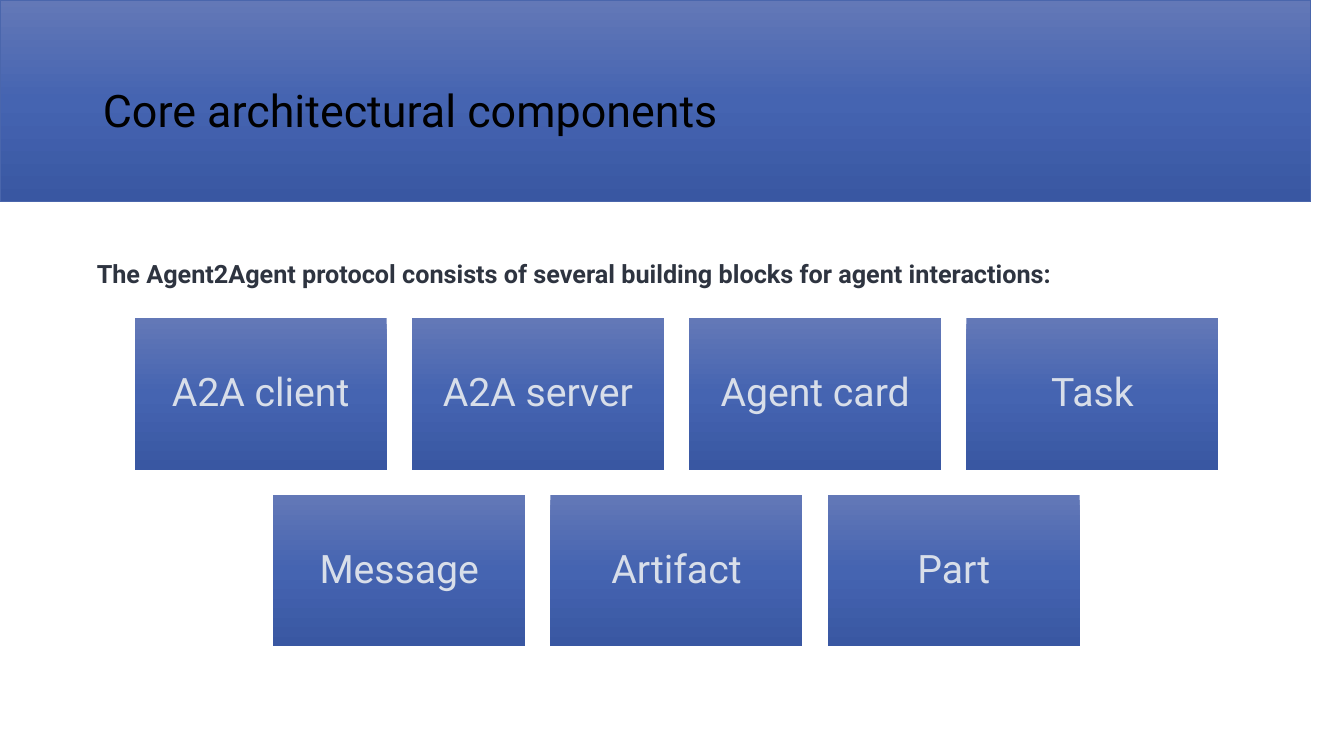
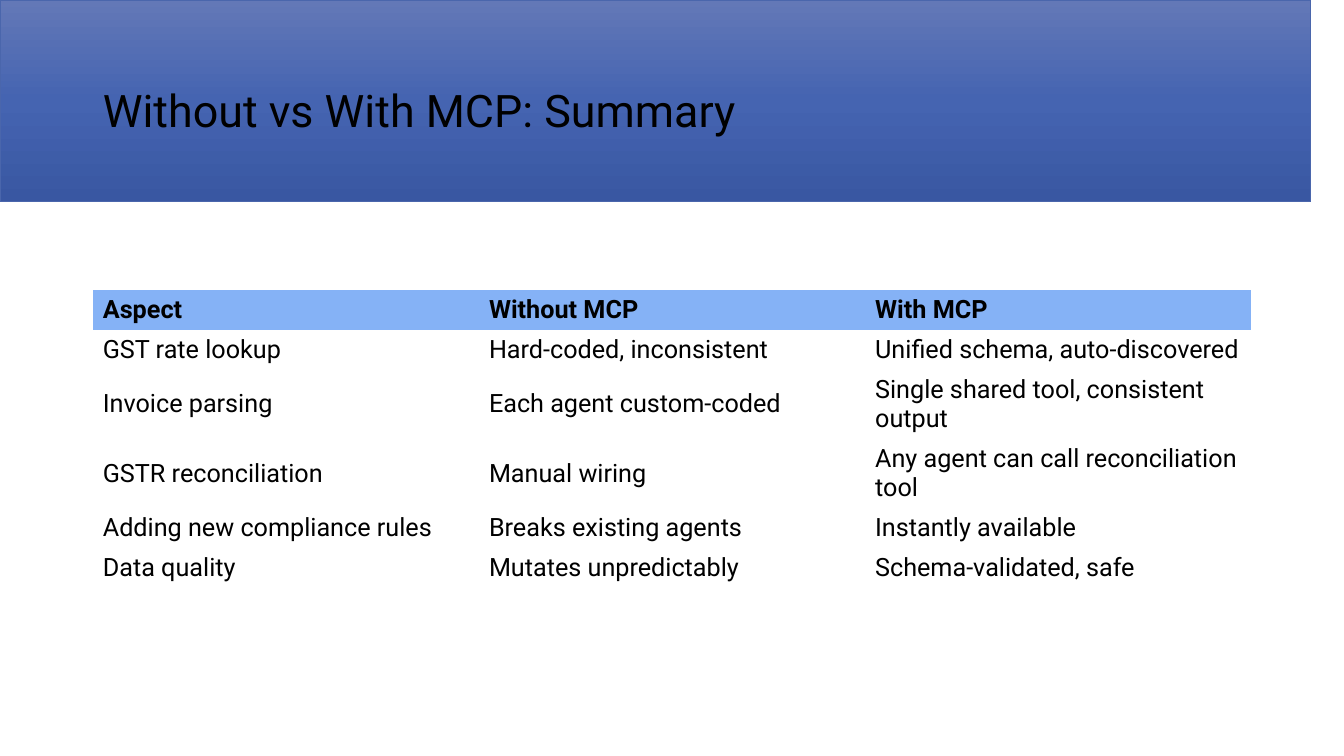
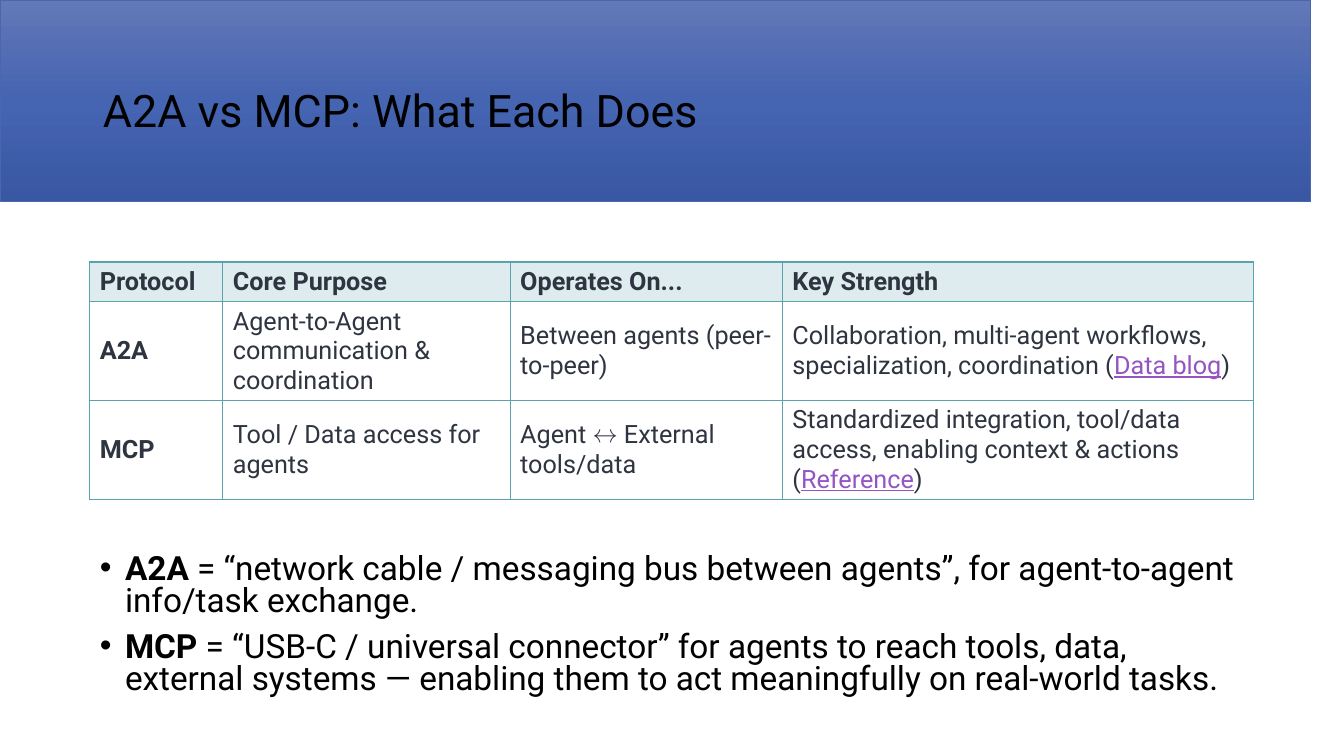
"""Build three slides on the A2A and MCP agent protocols."""
import copy

import pptx
import pptx.chart.data
import pptx.dml.color
import pptx.enum.shapes
import pptx.enum.text
import pptx.oxml
import pptx.oxml.ns
import pptx.util

Inches = pptx.util.Inches
ALIGN = pptx.enum.text.PP_ALIGN
MIDDLE = pptx.enum.text.MSO_ANCHOR.MIDDLE

COLORS = {
    "black": "000000",
    "ink": "2E3440",
    "pale": "D8DEE9",
    "band_top": "6378B7",
    "band_middle": "4564B1",
    "band_bottom": "3957A2",
    "band_line": "4A66AC",
    "summary_header": "85B2F6",
    "protocol_header": "DEECEF",
    "grid": "5AA2AE",
    "link": "9454C3",
}
GRADIENT = [(0, "band_top"), (0.5, "band_middle"), (1, "band_bottom")]
FONT = "Roboto"
WIDTH, HEIGHT = 13.33, 7.5
BAND = [(WIDTH, 0), (0, 0), (0, 2.06), (2.18, 2.06), (2.6, 2.38), (2.62, 2.39),
        (2.67, 2.39), (2.7, 2.38), (3.11, 2.06), (WIDTH, 2.06)]
TITLE_AREA = (0.92, 0.4, 11.5, 1.45)
NO_TABLE_STYLE = "{2D5ABB26-0587-4C30-8999-92F81FD0307C}"

BOLD = {"bold": True}
LINK = {"color": "link", "underline": True}

COMPONENTS_TITLE = "Core architectural components"
COMPONENTS_INTRO = ("The Agent2Agent protocol consists of several building blocks "
                    "for agent interactions:")
COMPONENT_ROWS = [
    ["A2A client", "A2A server", "Agent card", "Task"],
    ["Message", "Artifact", "Part"],
]
BOX_WIDTH, BOX_HEIGHT, BOX_GAP = 2.5, 1.5, 0.25
BOXES_CENTER, BOXES_TOP = 6.71, 3.16

SUMMARY_TITLE = "Without vs With MCP: Summary"
SUMMARY = {
    "at": (0.92, 2.88),
    "columns": [3.83] * 3,
    "lines": [1, 1, 2, 2, 1, 1],
    "header": "summary_header",
    "color": "black",
    "rows": [
        ["Aspect", "Without MCP", "With MCP"],
        ["GST rate lookup", "Hard-coded, inconsistent", "Unified schema, auto-discovered"],
        ["Invoice parsing", "Each agent custom-coded", "Single shared tool, consistent output"],
        ["GSTR reconciliation", "Manual wiring", "Any agent can call reconciliation tool"],
        ["Adding new compliance rules", "Breaks existing agents", "Instantly available"],
        ["Data quality", "Mutates unpredictably", "Schema-validated, safe"],
    ],
}

PROTOCOLS_TITLE = "A2A vs MCP: What Each Does"
PROTOCOLS = {
    "at": (0.89, 2.6),
    "columns": [1.32, 2.85, 2.7, 4.67],
    "lines": [1, 3, 3],
    "header": "protocol_header",
    "color": "ink",
    "border": "grid",
    "bold_first_column": True,
    "rows": [
        ["Protocol", "Core Purpose", "Operates On...", "Key Strength"],
        ["A2A", "Agent-to-Agent communication & coordination",
         "Between agents (peer-to-peer)",
         ["Collaboration, multi-agent workflows, specialization, coordination (",
          ("Data blog", LINK), ")"]],
        ["MCP", "Tool / Data access for agents", "Agent ↔ External tools/data",
         ["Standardized integration, tool/data access, enabling context & actions (",
          ("Reference", LINK), ")"]],
    ],
}
ANALOGIES = [
    [("A2A", BOLD), " = “network cable / messaging bus between agents”, "
                    "for agent-to-agent info/task exchange."],
    [("MCP", BOLD), " = “USB-C / universal connector” for agents to reach tools, data, "
                    "external systems — enabling them to act meaningfully on real-world tasks."],
]


def rgb(name):
    """Return the named colour."""
    return pptx.dml.color.RGBColor.from_string(COLORS[name])


def write(frame, *paragraphs, size=18, color="ink", bold=False, align=ALIGN.LEFT,
          anchor=None, spacing=1.0, space_before=0, inset=None, bullet=None):
    """Fill a text frame with paragraphs, each a string or a list of runs."""
    frame.word_wrap = True
    if anchor is not None:
        frame.vertical_anchor = anchor
    if inset is not None:
        frame.margin_left = frame.margin_right = Inches(inset)
        frame.margin_top = frame.margin_bottom = Inches(inset)
    for index, runs in enumerate(paragraphs):
        paragraph = frame.add_paragraph() if index else frame.paragraphs[0]
        paragraph.alignment = align
        paragraph.line_spacing = spacing
        paragraph.space_before = pptx.util.Pt(space_before if index else 0)
        if bullet:
            properties = paragraph._p.get_or_add_pPr()
            properties.set("marL", str(Inches(0.25)))
            properties.set("indent", str(Inches(-0.25)))
            mark = pptx.oxml.parse_xml(
                f'<a:buChar {pptx.oxml.ns.nsdecls("a")} char="{bullet}"/>')
            properties.append(mark)
        for item in [runs] if isinstance(runs, str) else runs:
            text, changes = (item, {}) if isinstance(item, str) else item
            run = paragraph.add_run()
            run.text = text
            run.font.name = FONT
            run.font.size = pptx.util.Pt(size)
            run.font.bold = changes.get("bold", bold)
            run.font.underline = changes.get("underline", False)
            run.font.color.rgb = rgb(changes.get("color", color))


def place(shape, left, top, width, height):
    """Move and size a shape in inches."""
    shape.left, shape.top = Inches(left), Inches(top)
    shape.width, shape.height = Inches(width), Inches(height)


def paint_gradient(shape):
    """Give a shape the shared top-to-bottom gradient and no shadow."""
    shape.shadow.inherit = False
    shape.fill.gradient()
    shape.fill.gradient_angle = 270
    stop_list = shape.element.xpath(".//a:gsLst")[0]
    stop_list.append(copy.deepcopy(stop_list[0]))
    for stop, (position, color) in zip(shape.fill.gradient_stops, GRADIENT):
        stop.position = position
        stop.color.rgb = rgb(color)


def set_up_master(presentation, slide):
    """Put the title area and the notched band on the slide master."""
    master = presentation.slide_master
    for placeholder in master.placeholders:
        if placeholder.placeholder_format.type == pptx.enum.shapes.PP_PLACEHOLDER.TITLE:
            place(placeholder, *TITLE_AREA)
    builder = slide.shapes.build_freeform(*BAND[0], scale=float(Inches(1)))
    builder.add_line_segments(BAND[1:], close=True)
    band = builder.convert_to_shape()
    paint_gradient(band)
    band.line.color.rgb = rgb("band_line")
    band.line.width = pptx.util.Pt(1)
    band.element.xpath(".//p:cNvPr")[0].set("id", "20")
    master.shapes.element.insert(2, band.element)


def add_slide(presentation, layout, title):
    """Add a slide with its title."""
    slide = presentation.slides.add_slide(presentation.slide_layouts.get_by_name(layout))
    frame = slide.shapes.title.text_frame
    frame.auto_size = pptx.enum.text.MSO_AUTO_SIZE.NONE
    write(frame, title, size=32, color="black", anchor=MIDDLE, spacing=0.9)
    return slide


def add_boxes(slide):
    """Add the centred rows of component boxes."""
    for row, names in enumerate(COMPONENT_ROWS):
        row_width = len(names) * (BOX_WIDTH + BOX_GAP) - BOX_GAP
        for column, name in enumerate(names):
            left = BOXES_CENTER - row_width / 2 + column * (BOX_WIDTH + BOX_GAP)
            top = BOXES_TOP + row * (BOX_HEIGHT + BOX_GAP)
            box = slide.shapes.add_shape(
                pptx.enum.shapes.MSO_SHAPE.RECTANGLE, Inches(left), Inches(top),
                Inches(BOX_WIDTH), Inches(BOX_HEIGHT))
            paint_gradient(box)
            box.line.fill.background()
            write(box.text_frame, name, size=28, color="pale", align=ALIGN.CENTER,
                  anchor=MIDDLE, spacing=0.9, inset=0.16)


def add_borders(cell, color):
    """Draw a one-point line on each side of a cell."""
    properties = cell._tc.get_or_add_tcPr()
    for index, side in enumerate("LRTB"):
        properties.insert(index, pptx.oxml.parse_xml(
            f'<a:ln{side} {pptx.oxml.ns.nsdecls("a")} w="12700"><a:solidFill>'
            f'<a:srgbClr val="{COLORS[color]}"/></a:solidFill></a:ln{side}>'))


def add_table(slide, content):
    """Add a table with a filled header row."""
    rows, columns = content["rows"], content["columns"]
    heights = [0.1 + 0.29 * lines for lines in content["lines"]]
    left, top = content["at"]
    frame = slide.shapes.add_table(
        len(rows), len(columns), Inches(left), Inches(top),
        Inches(sum(columns)), Inches(sum(heights)))
    frame.element.xpath(".//a:tableStyleId")[0].text = NO_TABLE_STYLE
    table = frame.table
    table.horz_banding = False
    for column, width in zip(table.columns, columns):
        column.width = Inches(width)
    for row_index, (row, height) in enumerate(zip(rows, heights)):
        table.rows[row_index].height = Inches(height)
        for column_index, text in enumerate(row):
            cell = table.cell(row_index, column_index)
            cell.vertical_anchor = MIDDLE
            if row_index == 0:
                cell.fill.solid()
                cell.fill.fore_color.rgb = rgb(content["header"])
            else:
                cell.fill.background()
            if "border" in content:
                add_borders(cell, content["border"])
            first = column_index == 0 and content.get("bold_first_column", False)
            write(cell.text_frame, text, color=content["color"],
                  bold=row_index == 0 or first)


def main():
    """Build and save the presentation."""
    presentation = pptx.Presentation()
    presentation.slide_width, presentation.slide_height = Inches(WIDTH), Inches(HEIGHT)

    components = add_slide(presentation, "Title Only", COMPONENTS_TITLE)
    set_up_master(presentation, components)
    add_boxes(components)
    intro = components.shapes.add_textbox(
        Inches(0.89), Inches(2.53), Inches(11.56), Inches(0.44))
    write(intro.text_frame, COMPONENTS_INTRO, bold=True, spacing=0.9, inset=0.07)

    summary = add_slide(presentation, "Title Only", SUMMARY_TITLE)
    add_table(summary, SUMMARY)

    protocols = add_slide(presentation, "Title and Content", PROTOCOLS_TITLE)
    body = protocols.placeholders[1]
    place(body, 0.89, 5.46, 11.56, 1.55)
    body.text_frame.auto_size = pptx.enum.text.MSO_AUTO_SIZE.NONE
    write(body.text_frame, *ANALOGIES, size=23.8, color="black", spacing=0.8,
          space_before=10, bullet="•")
    add_table(protocols, PROTOCOLS)

    presentation.save("out.pptx")


if __name__ == "__main__":
    main()
